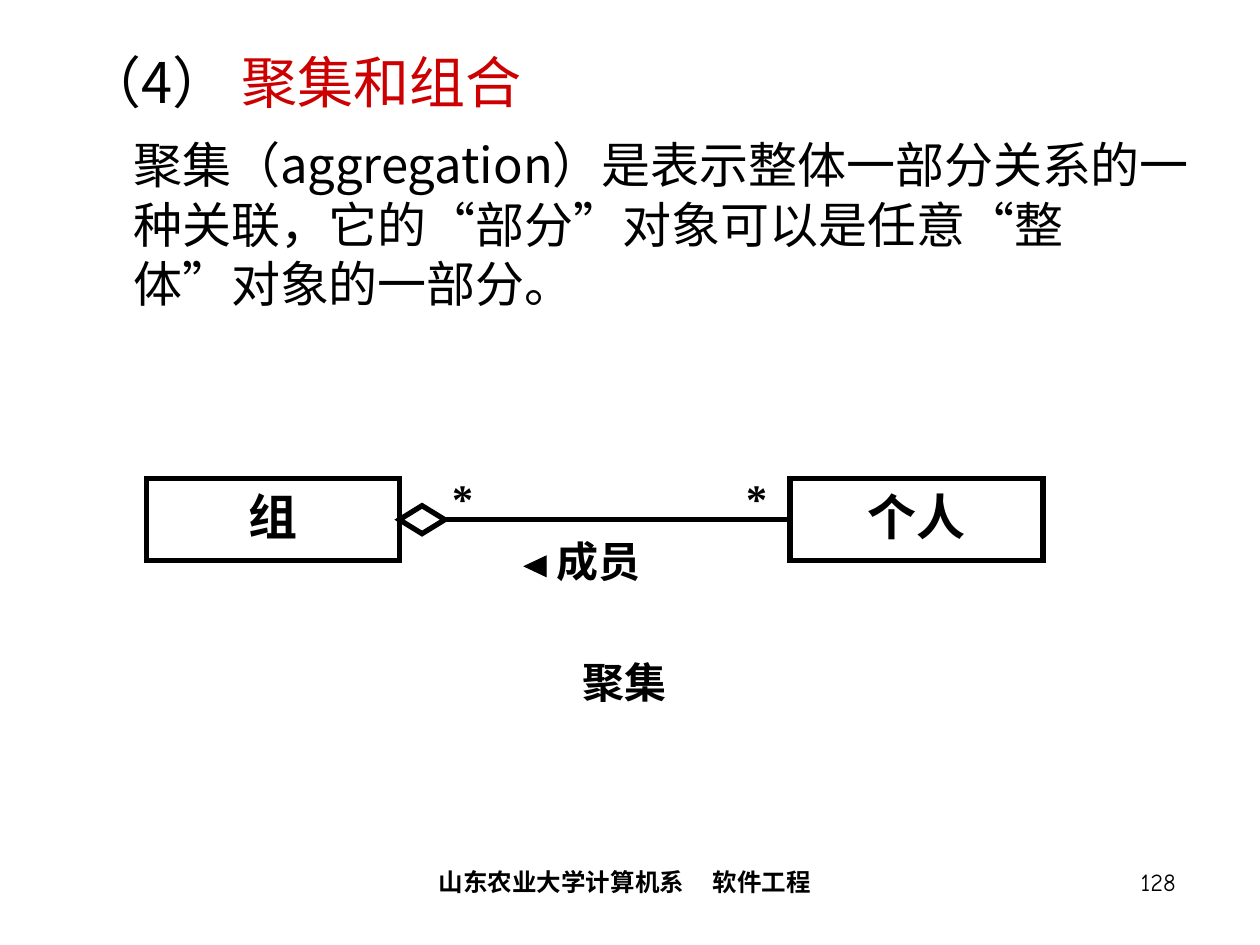
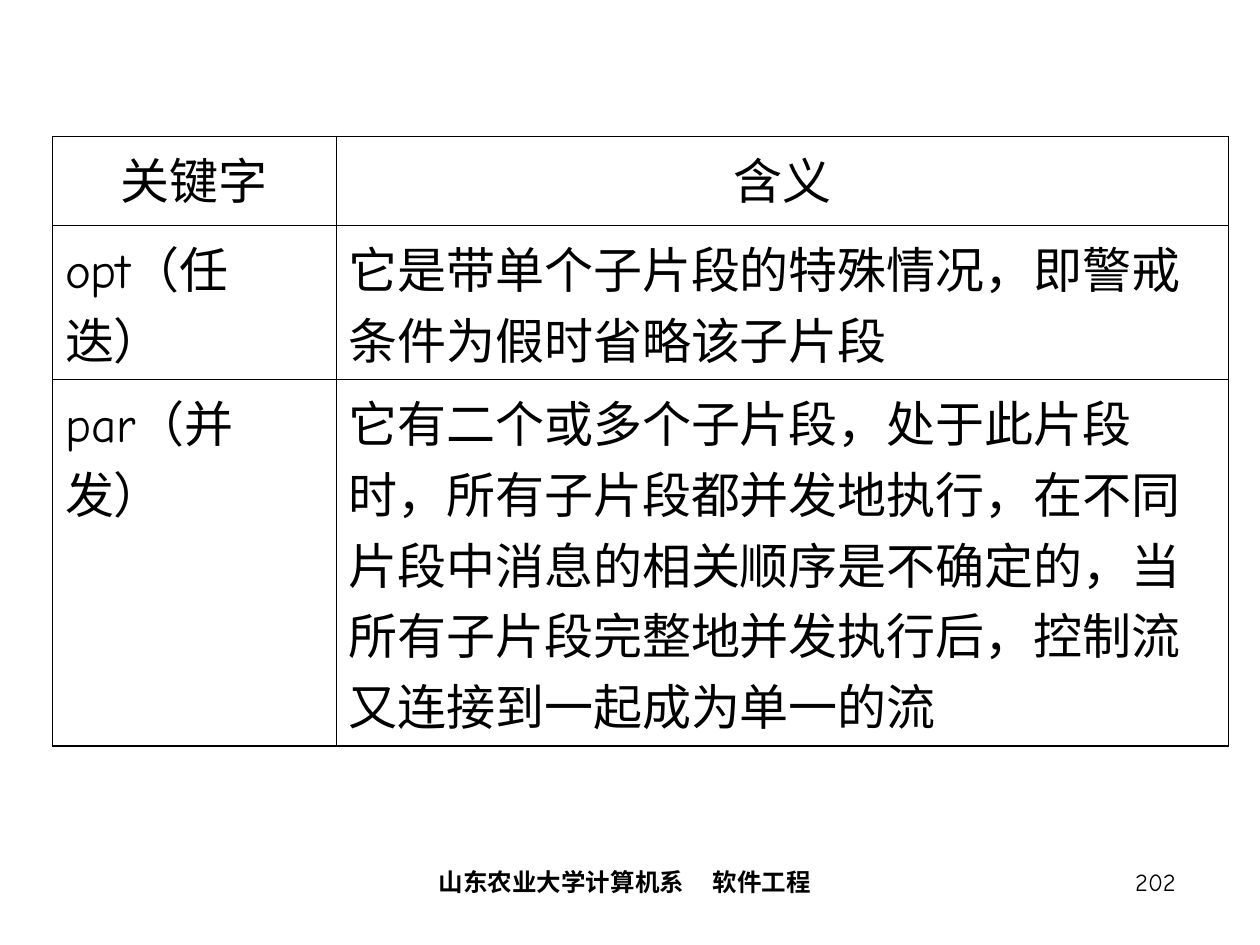
from lxml.etree import SubElement
from pptx import Presentation
from pptx.dml.color import RGBColor
from pptx.enum.shapes import MSO_CONNECTOR as CONN, MSO_SHAPE as SHAPE
from pptx.enum.text import MSO_ANCHOR as ANCHOR, MSO_AUTO_SIZE as AUTO, PP_ALIGN as ALIGN
from pptx.oxml.ns import qn
from pptx.util import Pt

COLORS = {"black": "000000", "red": "CC0000"}
SANS, COMIC, SERIF = "Noto Sans CJK SC", "Comic Neue", "Times New Roman"


def style(tf, size, font, bold=False, align=ALIGN.LEFT, spacing=None):
    tf.word_wrap = True
    for p in tf.paragraphs:
        p.alignment = align
        p._p.get_or_add_pPr().set("hangingPunct", "0")
        if spacing:
            p.line_spacing = spacing
        for r in p.runs:
            r.font.size = Pt(size)
            r.font.name = font
            r.font.bold = bold
            r.font.color.rgb = RGBColor.from_string(COLORS["black"])
            ea = SubElement(r.font._element, qn("a:ea"))
            ea.set("typeface", SANS)


def add_text(s, text, left, top, width, height, *args, **kwargs):
    tf = s.shapes.add_textbox(Pt(left), Pt(top), Pt(width), Pt(height)).text_frame
    tf.text = text
    style(tf, *args, **kwargs)
    return tf


prs = Presentation()
prs.slide_width, prs.slide_height = Pt(720), Pt(540)
black = RGBColor.from_string(COLORS["black"])

# Aggregation
s = prs.slides.add_slide(prs.slide_layouts[5])
title = s.shapes.title
title.left, title.top, title.width, title.height = Pt(41.8), Pt(23.8), Pt(653.7), Pt(50)
tf = title.text_frame
tf.text = "（4） "
tf.paragraphs[0].add_run().text = "聚集和组合"
tf.auto_size = AUTO.NONE
tf.vertical_anchor = ANCHOR.TOP
style(tf, 32, SANS)
tf.paragraphs[0].runs[1].font.color.rgb = RGBColor.from_string(COLORS["red"])

add_text(s, "聚集（aggregation）是表示整体一部分关系的一种关联，它的“部分”对象可以是任意“整体”对象的一部分。",
         69.1, 73.2, 626, 110, 28, SANS, spacing=Pt(34))

tf = add_text(s, "聚集", 306.6, 360, 100, 46.8, 24, SERIF, True, ALIGN.CENTER, 1.44)
tf.vertical_anchor = ANCHOR.MIDDLE
add_text(s, "成员", 269.8, 306, 144.7, 31, 24, SERIF, True, ALIGN.CENTER, 0.88)
for center in (264.4, 432.4):
    add_text(s, "*", center - 15, 270, 30, 31, 24, SERIF, True, ALIGN.CENTER, 0.88)

shapes = []
for kind, text, left, top, width, height in (
    (SHAPE.RECTANGLE, "组", 83.5, 273.6, 144.7, 46.8),
    (SHAPE.RECTANGLE, "个人", 451.4, 273.6, 144.7, 46.8),
    (SHAPE.DIAMOND, "", 228.2, 289, 26, 16),
    (SHAPE.ISOSCELES_TRIANGLE, "", 300.2, 317.5, 11.5, 12.2),
):
    sp = s.shapes.add_shape(kind, Pt(left), Pt(top), Pt(width), Pt(height))
    sp.shadow.inherit = False
    sp.fill.background()
    sp.line.color.rgb = black
    sp.line.width = Pt(3)
    SubElement(sp.line._get_or_add_ln(), qn("a:miter"), lim="800000")
    if text:
        sp.text_frame.text = text
        sp.text_frame.vertical_anchor = ANCHOR.MIDDLE
        style(sp.text_frame, 28, SERIF, True, ALIGN.CENTER, 0.88)
    shapes.append(sp)
group, person, diamond, arrow = shapes
arrow.rotation = 270
arrow.fill.solid()
arrow.fill.fore_color.rgb = black
arrow.line.width = Pt(0.75)

link = s.shapes.add_connector(CONN.STRAIGHT, Pt(254.2), Pt(297), Pt(451.4), Pt(297))
link.begin_connect(diamond, 3)
link.end_connect(person, 1)
link.line.color.rgb = black
link.line.width = Pt(3)
SubElement(link._element.spPr, qn("a:effectLst"))

# Fragment keywords
s = prs.slides.add_slide(prs.slide_layouts[6])
rows = [
    ("关键字", "含义"),
    ("opt（任迭）", "它是带单个子片段的特殊情况，即警戒条件为假时省略该子片段"),
    ("par（并发）", "它有二个或多个子片段，处于此片段时，所有子片段都并发地执行，在不同片段中消息的相关顺序是不确定的，当所有子片段完整地并发执行后，控制流又连接到一起成为单一的流"),
]
table = s.shapes.add_table(3, 2, Pt(30), Pt(78), Pt(672), Pt(301)).table
table.first_row = table.horz_banding = False
for col, width in zip(table.columns, (162, 510)):
    col.width = Pt(width)
for row, height in zip(table.rows, (50.7, 74.9, 175.7)):
    row.height = Pt(height)
for i, texts in enumerate(rows):
    for j, text in enumerate(texts):
        cell = table.cell(i, j)
        cell.text = text
        cell.margin_left = cell.margin_right = Pt(7.2)
        cell.margin_top = cell.margin_bottom = Pt(3.6)
        style(cell.text_frame, 28, SANS if i and j else COMIC,
              align=ALIGN.LEFT if i else ALIGN.CENTER)
        tcPr = cell._tc.get_or_add_tcPr()
        for side, outer in (("L", j == 0), ("R", j == 1), ("T", i == 0), ("B", i == 2)):
            ln = SubElement(tcPr, qn(f"a:ln{side}"), w=str(Pt(1.08 if outer else 0.45)))
            fill = SubElement(ln, qn("a:solidFill"))
            SubElement(fill, qn("a:srgbClr"), val=COLORS["black"])
        cell.fill.background()

# Footers
for s, number in zip(prs.slides, ("128", "202")):
    tf = add_text(s, "山东农业大学计算机系\t软件工程", 243.6, 491.8, 240, 36, 14, COMIC, True)
    tabs = SubElement(tf.paragraphs[0]._p.get_or_add_pPr(), qn("a:tabLst"))
    SubElement(tabs, qn("a:tab"), pos=str(Pt(156.5)), algn="l")
    add_text(s, number, 529.2, 491.8, 149.8, 36, 14, COMIC, align=ALIGN.RIGHT)

prs.save("out.pptx")
